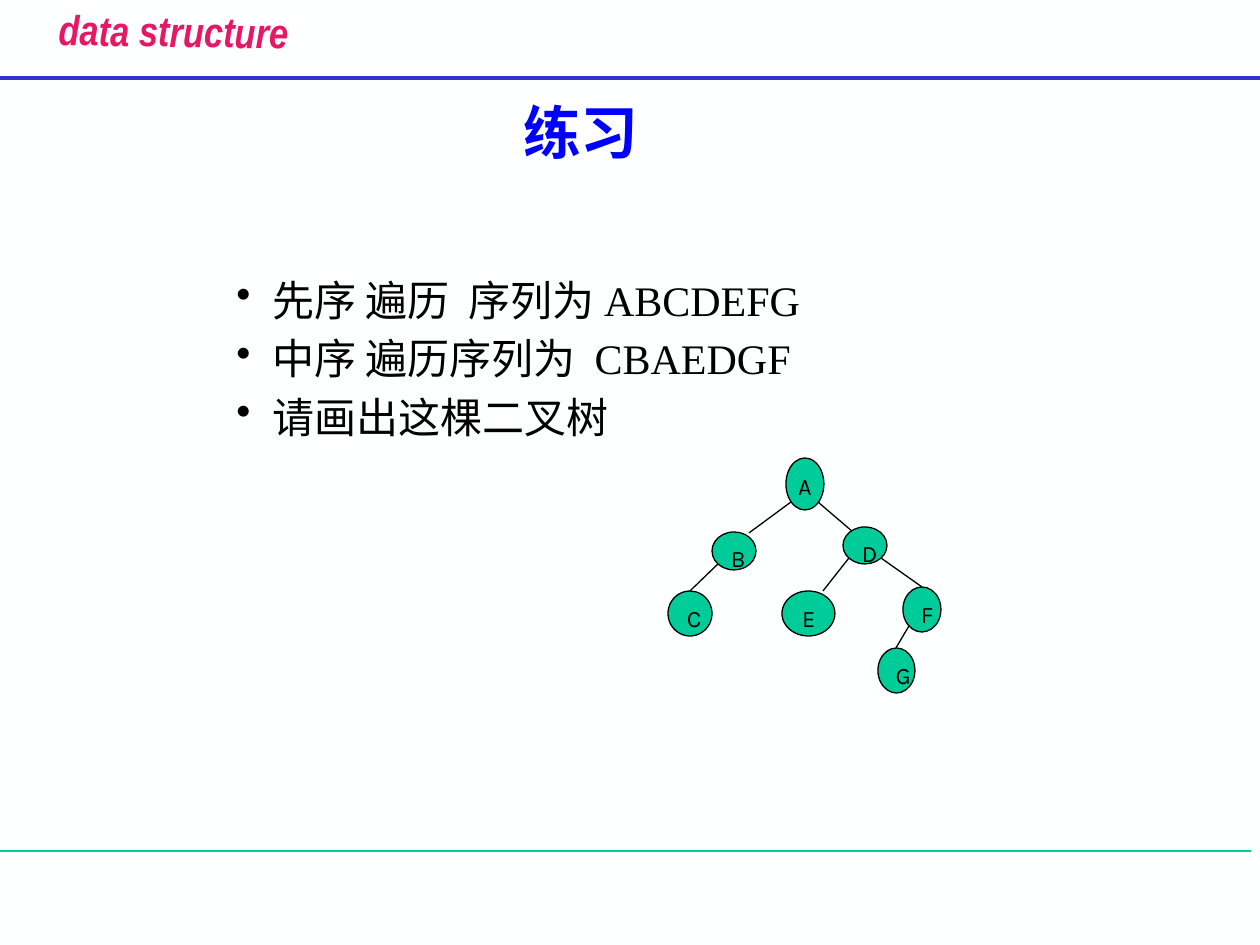
import dataclasses

import pptx
import pptx.dml.color
import pptx.enum.shapes
import pptx.enum.text
import pptx.oxml.ns
import pptx.util
from lxml import etree

PX = 914400 // 126


@dataclasses.dataclass(frozen=True)
class Theme:
    background: str = "FEFFFF"
    header: str = "E81766"
    title: str = "0000FF"
    ink: str = "000000"
    green: str = "00CC99"
    rule: str = "3333CC"
    header_size: float = 24
    title_size: float = 33
    body_size: float = 24
    node_size: float = 13.5
    thin: float = 0.75
    thick: float = 2.25


theme = Theme()
rgb = pptx.dml.color.RGBColor.from_string
qn = pptx.oxml.ns.qn
Align = pptx.enum.text.PP_ALIGN


def add_line(shapes, ends, color, width):
    connector = shapes.add_connector(
        pptx.enum.shapes.MSO_CONNECTOR.STRAIGHT, *(value * PX for value in ends))
    connector.line.color.rgb = rgb(color)
    connector.line.width = pptx.util.Pt(width)
    etree.SubElement(connector._element.spPr, qn("a:effectLst"))


def write(shape, lines, font, size, color, align=Align.LEFT, wrap=False):
    """Fill the shape with one paragraph per line and format the runs."""
    frame = shape.text_frame
    frame.text = "\n".join(lines)
    frame.word_wrap = wrap
    for paragraph in frame.paragraphs:
        paragraph.alignment = align
        for run in paragraph.runs:
            run.font.name = font
            run.font.size = pptx.util.Pt(size)
            run.font.color.rgb = rgb(color)
    return frame


presentation = pptx.Presentation()
presentation.slide_width = 1260 * PX
presentation.slide_height = 945 * PX
slide = presentation.slides.add_slide(presentation.slide_layouts[6])
slide.background.fill.solid()
slide.background.fill.fore_color.rgb = rgb(theme.background)

# Header and rules
add_line(slide.shapes, (-9, 851, 1251, 851), theme.green, theme.thin)
add_line(slide.shapes, (0, 78, 1260, 78), theme.rule, theme.thick)

header = slide.shapes.add_textbox(29 * PX, -1 * PX, 289 * PX, 68 * PX)
header.rotation = 0.8
frame = write(header, ["data structure"], "Arial Narrow", theme.header_size,
              theme.header, Align.CENTER)
header_font = frame.paragraphs[0].runs[0].font
header_font.bold = header_font.italic = True

# Title and exercise
title = slide.shapes.add_textbox(140 * PX, 84 * PX, 882 * PX, 95 * PX)
frame = write(title, ["练习"], "Times New Roman", theme.title_size,
              theme.title, Align.CENTER, wrap=True)
frame.vertical_anchor = pptx.enum.text.MSO_ANCHOR.MIDDLE
frame.paragraphs[0].runs[0].font.bold = True

body = slide.shapes.add_textbox(224 * PX, 268 * PX, 825 * PX, 122 * PX)
tasks = ["先序 遍历  序列为 ABCDEFG", "中序 遍历序列为  CBAEDGF", "请画出这棵二叉树"]
frame = write(body, tasks, "Times New Roman", theme.body_size, theme.ink, wrap=True)
for paragraph in frame.paragraphs:
    paragraph.space_before = pptx.util.Pt(0.2 * theme.body_size)
    properties = paragraph._p.get_or_add_pPr()
    properties.set("marL", str(36 * PX))
    properties.set("indent", str(-36 * PX))
    etree.SubElement(properties, qn("a:buChar"), char="•")

# Binary tree: edges from parent to child, then nodes as left, top, width, height
edges = {
    "AB": (791, 502, 749, 533),
    "AD": (818, 502, 853, 532),
    "BC": (718, 564, 690, 591),
    "DE": (849, 558, 823, 591),
    "DF": (881, 558, 922, 587),
    "FG": (909, 626, 896, 648),
}
nodes = {
    "A": (786, 458, 38, 52),
    "B": (712, 532, 44, 38),
    "C": (668, 591, 44, 45),
    "D": (843, 527, 44, 37),
    "E": (782, 591, 53, 45),
    "F": (903, 587, 38, 45),
    "G": (878, 648, 37, 45),
}
tree = slide.shapes.add_group_shape()
for ends in edges.values():
    add_line(tree.shapes, ends, theme.ink, theme.thin)
for letter, box in nodes.items():
    node = tree.shapes.add_shape(
        pptx.enum.shapes.MSO_SHAPE.OVAL, *(value * PX for value in box))
    node.shadow.inherit = False
    node.fill.solid()
    node.fill.fore_color.rgb = rgb(theme.green)
    node.line.color.rgb = rgb(theme.ink)
    node.line.width = pptx.util.Pt(theme.thin)
    align = Align.CENTER if letter == "A" else Align.LEFT
    frame = write(node, [letter], "Karla", theme.node_size, theme.ink, align)
    frame.vertical_anchor = pptx.enum.text.MSO_ANCHOR.TOP

presentation.save("out.pptx")
